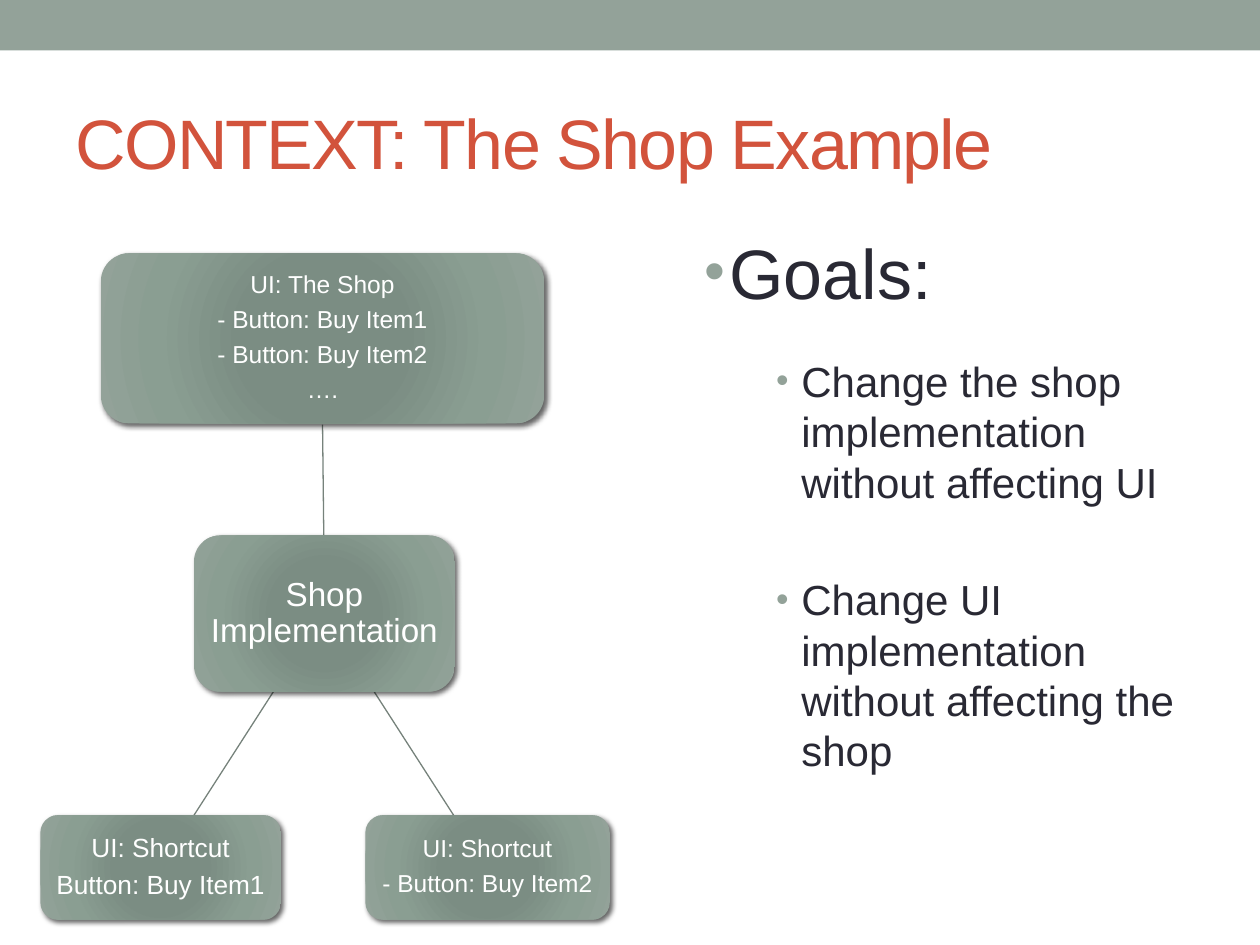
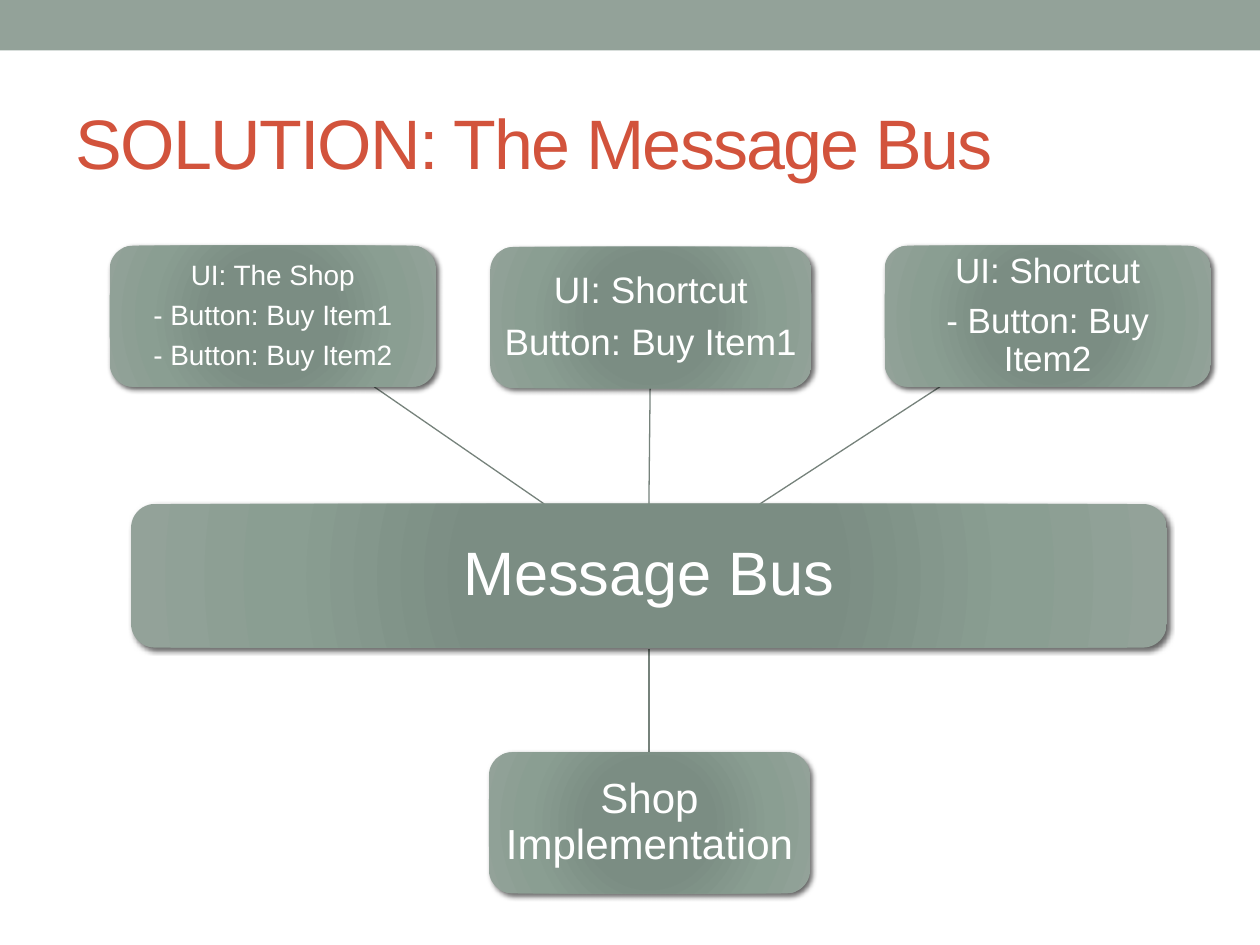
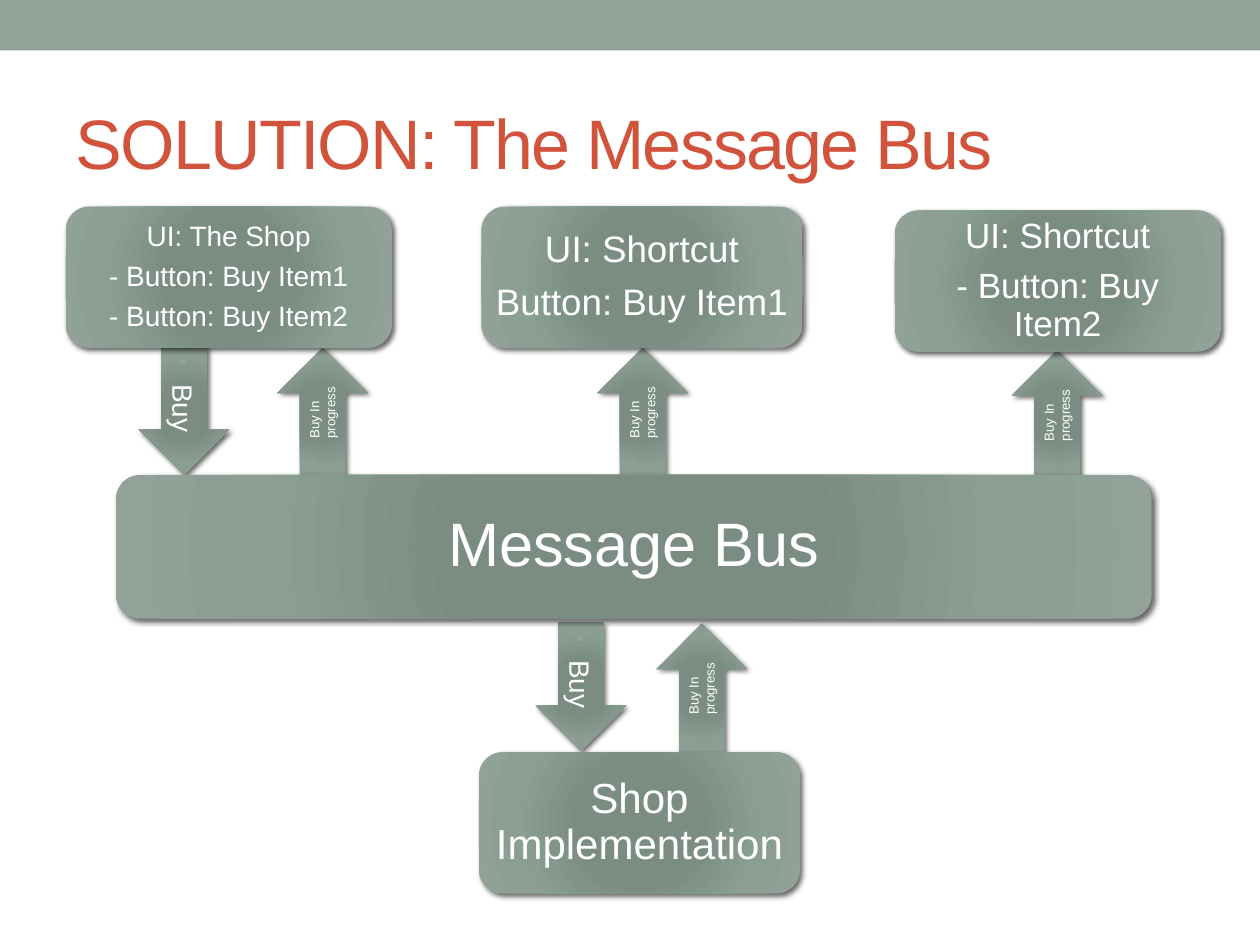
"""Build three slides on a shop example and its message bus."""
from copy import deepcopy

from lxml.etree import SubElement
from pptx import Presentation
from pptx.dml.color import RGBColor
from pptx.enum.shapes import MSO_CONNECTOR, MSO_SHAPE
from pptx.enum.text import MSO_ANCHOR, MSO_AUTO_SIZE, PP_ALIGN
from pptx.oxml import parse_xml
from pptx.oxml.ns import nsdecls, qn
from pptx.util import Inches, Pt

COLORS = {
    "band": "93A299",
    "title": "D2533C",
    "text": "292934",
    "white": "FFFFFF",
    "link": "76827B",
    "black": "000000",
}
FONT = "Arial"
STOPS = [(0, "7B8E82"), (34, "7B8D83"), (70, "8A9E92"), (100, COLORS["band"])]
STOP_XML = "".join(
    f'<a:gs pos="{position * 1000}"><a:srgbClr val="{color}"/></a:gs>'
    for position, color in STOPS
)
GRADIENT = parse_xml(
    f'<a:gradFill {nsdecls("a")} rotWithShape="1"><a:gsLst>{STOP_XML}</a:gsLst>'
    '<a:path path="circle"><a:fillToRect l="100000" t="100000" r="100000" b="100000"/>'
    "</a:path></a:gradFill>"
)
SHADOW = parse_xml(
    f'<a:outerShdw {nsdecls("a")} blurRad="38100" dist="25400" dir="2700000" rotWithShape="0">'
    f'<a:srgbClr val="{COLORS["black"]}"><a:alpha val="60000"/></a:srgbClr></a:outerShdw>'
)


def add_block(page, kind, left, top, width, height, lines, size, inset=None):
    """Add a shaded block with white text."""
    block = page.shapes.add_shape(
        kind, Inches(left), Inches(top), Inches(width), Inches(height)
    )
    block.fill.background()
    block.line.fill.background()
    block.shadow.inherit = False
    properties = block.element.spPr
    properties.replace(properties.find(qn("a:noFill")), deepcopy(GRADIENT))
    properties.find(qn("a:effectLst")).append(deepcopy(SHADOW))
    frame = block.text_frame
    frame.word_wrap = True
    frame.text = "\n".join(lines)
    if inset is None:
        frame.vertical_anchor = MSO_ANCHOR.TOP
        format_bullets(frame, size, COLORS["white"])
        return block
    frame.vertical_anchor = MSO_ANCHOR.MIDDLE
    frame.margin_left = frame.margin_right = Inches(inset)
    frame.margin_top = frame.margin_bottom = Inches(inset)
    for para in frame.paragraphs:
        para.alignment = PP_ALIGN.CENTER
        para.line_spacing = 0.9
        para.space_after = Pt(size * 0.35)
        para.font.size = Pt(size)
        for span in para.runs:
            span.font.name = FONT
            span.font.size = Pt(size)
            span.font.color.rgb = RGBColor.from_string(COLORS["white"])
    return block


def format_bullets(frame, size, color):
    """Give every paragraph the deck's round bullet."""
    for para in frame.paragraphs:
        para.alignment = PP_ALIGN.LEFT
        para.space_before = Pt(size * 0.2)
        settings = para._p.get_or_add_pPr()
        settings.set("marL", str(Inches(0.2)))
        settings.set("indent", str(-Inches(0.2)))
        bullet_color = SubElement(settings, qn("a:buClr"))
        SubElement(bullet_color, qn("a:srgbClr"), val=COLORS["band"])
        SubElement(settings, qn("a:buSzPct"), val="85000")
        SubElement(settings, qn("a:buFont"), typeface=FONT)
        SubElement(settings, qn("a:buChar"), char="•")
        for span in para.runs:
            span.font.name = FONT
            span.font.size = Pt(size)
            span.font.color.rgb = RGBColor.from_string(color)


deck = Presentation()
deck.slide_width = Inches(10)
deck.slide_height = Inches(7.5)
master = deck.slide_master
master_title = master.placeholders[0]
master_title.left, master_title.top = Inches(0.5), Inches(0.58)
master_title.width, master_title.height = Inches(9), Inches(1.08)

pages = []
for layout_name, title in [
    ("Two Content", "CONTEXT: The Shop Example"),
    ("Title Only", "SOLUTION: The Message Bus"),
    ("Title Only", "SOLUTION: The Message Bus"),
]:
    page = deck.slides.add_slide(deck.slide_layouts.get_by_name(layout_name))
    frame = page.shapes.title.text_frame
    frame.text = title
    frame.auto_size = MSO_AUTO_SIZE.NONE
    frame.vertical_anchor = MSO_ANCHOR.MIDDLE
    para = frame.paragraphs[0]
    para.alignment = PP_ALIGN.LEFT
    span = para.runs[0]
    span.font.name = FONT
    span.font.size = Pt(40)
    span.font.color.rgb = RGBColor.from_string(COLORS["title"])
    span._r.get_or_add_rPr().set("spc", "-100")
    pages.append(page)
context, solution, messages = pages

band = context.shapes.add_shape(MSO_SHAPE.RECTANGLE, 0, 0, Inches(10), Inches(0.4))
band.fill.solid()
band.fill.fore_color.rgb = RGBColor.from_string(COLORS["band"])
band.line.fill.background()
band.shadow.inherit = False
band.element.nvSpPr.cNvPr.set("id", "20")
master.element.cSld.spTree.insert(2, band.element)

for page, x1, y1, x2, y2 in [
    (context, 2.57, 4.25, 2.56, 3.37),
    (context, 2.97, 5.49, 3.6, 6.47),
    (context, 2.17, 5.49, 1.54, 6.47),
    (solution, 4.32, 4, 2.97, 3.07),
    (solution, 6.03, 4, 7.46, 3.07),
    (solution, 5.15, 5.15, 5.15, 5.97),
    (solution, 5.15, 4, 5.16, 3.07),
]:
    link = page.shapes.add_connector(
        MSO_CONNECTOR.STRAIGHT, Inches(x1), Inches(y1), Inches(x2), Inches(y2)
    )
    link.line.color.rgb = RGBColor.from_string(COLORS["link"])
    link.line.width = Pt(0.75)
    SubElement(link.element.spPr, qn("a:effectLst"))

for left, top, text, rotation in [
    (0.95, 2.9, "Buy", 90),
    (4.1, 5.09, "Buy", 90),
    (5.06, 5.1, "Buy In progress", 270),
    (2.05, 2.91, "Buy In progress", 270),
    (4.59, 2.91, "Buy In progress", 270),
    (7.88, 2.93, "Buy In progress", 270),
]:
    size = 16 if text == "Buy" else 7.6
    arrow = add_block(messages, MSO_SHAPE.RIGHT_ARROW, left, top, 1.02, 0.72, [text], size)
    arrow.rotation = rotation

first_button, second_button = "- Button: Buy Item1", "- Button: Buy Item2"
shop = ["UI: The Shop", first_button, second_button]
first_shortcut = ["UI: Shortcut", "Button: Buy Item1"]
second_shortcut = ["UI: Shortcut", second_button]
implementation = ["Shop Implementation"]
bus = ["Message Bus"]
for page, left, top, width, height, lines, size, inset in [
    (context, 1.54, 4.25, 2.07, 1.24, implementation, 19, 0.05),
    (context, 0.8, 2.01, 3.52, 1.35, shop + ["…."], 14, 0.04),
    (context, 2.9, 6.47, 1.94, 0.83, second_shortcut, 14, 0.04),
    (context, 0.32, 6.47, 1.91, 0.83, first_shortcut, 15, 0.04),
    (solution, 1.04, 4, 8.22, 1.14, bus, 35, 0.1),
    (solution, 0.87, 1.95, 2.59, 1.12, shop, 16, 0.04),
    (solution, 7.02, 1.95, 2.59, 1.12, second_shortcut, 20, 0.06),
    (solution, 3.88, 5.97, 2.55, 1.12, implementation, 24, 0.07),
    (solution, 3.89, 1.96, 2.55, 1.12, first_shortcut, 21, 0.06),
    (messages, 3.82, 1.64, 2.55, 1.12, first_shortcut, 21, 0.06),
    (messages, 7.1, 1.67, 2.59, 1.12, second_shortcut, 20, 0.06),
    (messages, 0.52, 1.64, 2.59, 1.12, shop, 16, 0.04),
    (messages, 0.92, 3.77, 8.22, 1.14, bus, 35, 0.1),
    (messages, 3.8, 5.97, 2.55, 1.12, implementation, 24, 0.07),
]:
    add_block(page, MSO_SHAPE.ROUNDED_RECTANGLE, left, top, width, height, lines, size, inset)

goals = [
    "Change the shop implementation without affecting UI",
    "Change UI implementation without affecting the shop",
]
for index, left, top, width, height, lines, size in [
    (1, 5.49, 1.77, 4.27, 1.02, ["Goals:"], 40),
    (2, 6.06, 2.77, 3.7, 3.78, goals, 24),
]:
    body = context.placeholders[index]
    body.left, body.top = Inches(left), Inches(top)
    body.width, body.height = Inches(width), Inches(height)
    frame = body.text_frame
    frame.text = "\n".join(lines)
    frame.auto_size = MSO_AUTO_SIZE.NONE
    format_bullets(frame, size, COLORS["text"])
    for para in frame.paragraphs[1:]:
        para.space_before = Pt(size * 1.6)

deck.save("out.pptx")
